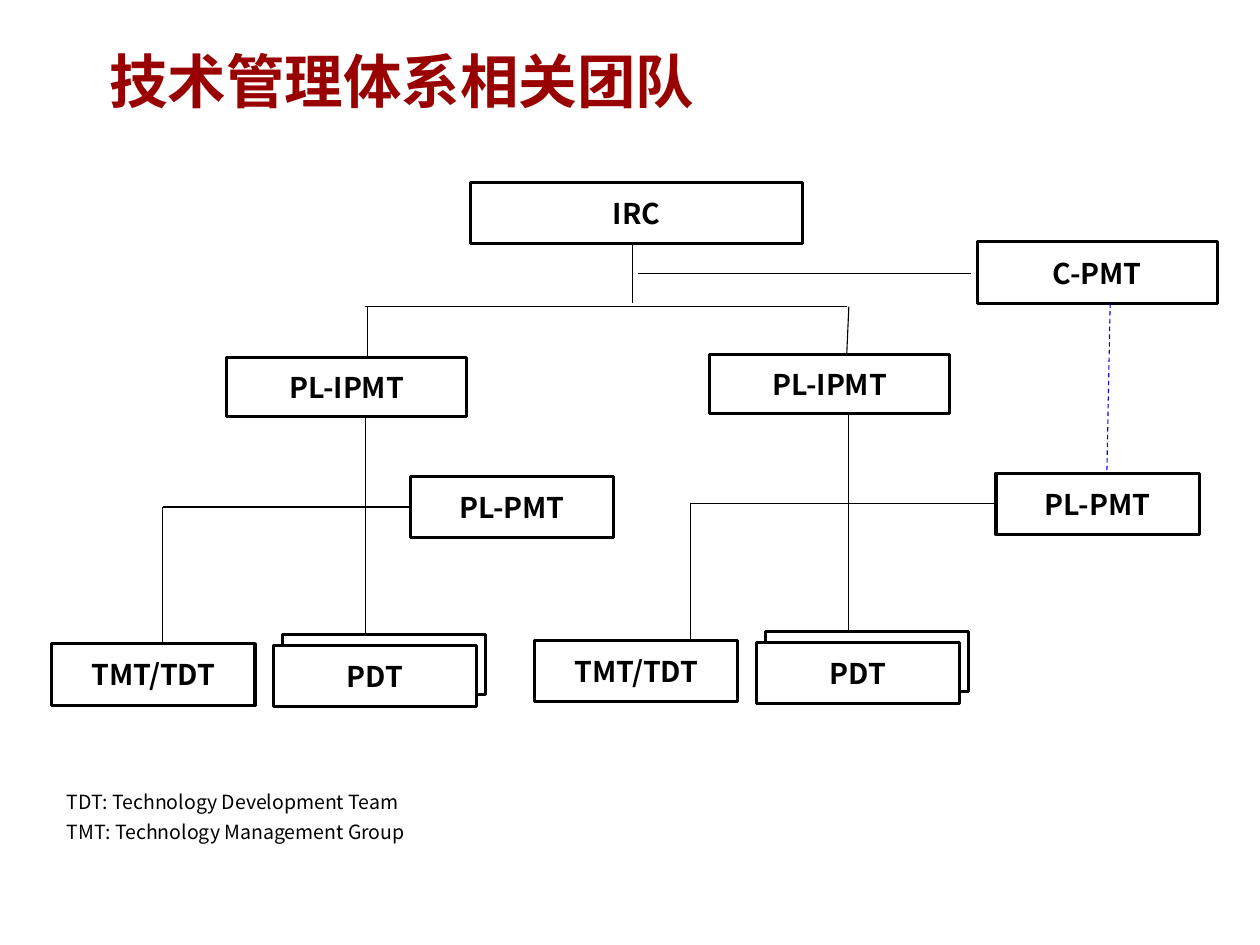
from lxml import etree
from pptx import Presentation
from pptx.dml.color import RGBColor
from pptx.enum.dml import MSO_LINE
from pptx.enum.shapes import MSO_CONNECTOR, MSO_SHAPE
from pptx.enum.text import MSO_ANCHOR, MSO_AUTO_SIZE, PP_ALIGN
from pptx.oxml.ns import qn
from pptx.util import Pt

RECTANGLE = MSO_SHAPE.RECTANGLE
STRAIGHT = MSO_CONNECTOR.STRAIGHT
DASH = MSO_LINE.DASH
LEFT, CENTER = PP_ALIGN.LEFT, PP_ALIGN.CENTER
MIDDLE, BOTTOM = MSO_ANCHOR.MIDDLE, MSO_ANCHOR.BOTTOM
NO_AUTOSIZE = MSO_AUTO_SIZE.NONE

BLACK = RGBColor(0x00, 0x00, 0x00)
WHITE = RGBColor(0xFF, 0xFF, 0xFF)
BLUE = RGBColor(0x00, 0x00, 0xFF)
DARK_RED = RGBColor(0x99, 0x00, 0x00)

TITLE_FONT = "Arial"
BOX_FONT = "Noto Sans CJK KR"
NOTE_FONT = "Noto Sans CJK SC"

BOX_HEIGHT = 41
LOW_HEIGHT = 39.6
TEAM_WIDTH = 135.4
BOARD_WIDTH = 159.8
LEFT_SIDE = 1


def write_text(shape, text, font=BOX_FONT, size=19, bold=True, color=BLACK,
               align=CENTER, anchor=MIDDLE, margins=(3.6, 2.2), space_before=0):
    """Write text into a shape, one paragraph a line, in a single format."""
    frame = shape.text_frame
    frame.text = text
    frame.word_wrap = True
    frame.auto_size = NO_AUTOSIZE
    frame.vertical_anchor = anchor
    frame.margin_left = frame.margin_right = Pt(margins[0])
    frame.margin_top = frame.margin_bottom = Pt(margins[1])
    for paragraph in frame.paragraphs:
        paragraph.alignment = align
        paragraph.space_before = Pt(space_before)
        for run in paragraph.runs:
            run.font.name = font
            run.font.size = Pt(size)
            run.font.bold = bold
            run.font.color.rgb = color


def add_box(slide, left, top, width, height=BOX_HEIGHT, text=""):
    """Add a white box with a black outline and an optional label."""
    box = slide.shapes.add_shape(RECTANGLE, Pt(left), Pt(top), Pt(width), Pt(height))
    box.shadow.inherit = False
    box.fill.solid()
    box.fill.fore_color.rgb = WHITE
    box.line.color.rgb = BLACK
    box.line.width = Pt(2)
    if text:
        write_text(box, text)
    return box


def add_line(slide, start, end, color=BLACK, dash=None):
    """Add a thin straight connector between two points."""
    line = slide.shapes.add_connector(
        STRAIGHT, Pt(start[0]), Pt(start[1]), Pt(end[0]), Pt(end[1]))
    line.line.color.rgb = color
    line.line.width = Pt(0.75)
    if dash is not None:
        line.line.dash_style = dash
    etree.SubElement(line._element.spPr, qn("a:effectLst"))
    return line


def add_title(slide, left, top, width, height):
    """Move the title placeholder into its box and format it."""
    title = slide.shapes.title
    title.left, title.top = Pt(left), Pt(top)
    title.width, title.height = Pt(width), Pt(height)
    write_text(title, "技术管理体系相关团队", font=TITLE_FONT, size=39,
               color=DARK_RED, align=LEFT, margins=(7.2, 3.6))


def add_head(slide, left, top, width):
    """Draw the IRC box, its side team and the bar that spans both branches."""
    add_box(slide, left, top, width, text="IRC")
    stem, bar_top = left + 108, top + 82.8
    add_line(slide, (stem, top + BOX_HEIGHT), (stem, top + 80.6))
    add_line(slide, (stem + 3.6, top + 60.5), (left + 333.4, top + 60.5))
    add_line(slide, (left - 70.6, bar_top), (left + 250.6, bar_top))
    add_line(slide, (left - 69.1, bar_top), (left - 69.1, top + 116.6))
    add_line(slide, (left + 252, bar_top), (left + 250.6, top + 114.5))
    add_box(slide, left + 337.7, top + 39.6, BOARD_WIDTH, text="C-PMT")
    add_line(slide, (left + 426.2, top + 80.6), (left + 424, top + 194.4),
             color=BLUE, dash=DASH)


def add_branch(slide, left, top, pmt_offset, arm_offset):
    """Draw one product line: its board, PMT, TMT/TDT and stacked PDT."""
    arm_left, arm_top = left + arm_offset, top + 79.2 + BOX_HEIGHT / 2
    trunk = left + 92.5
    add_box(slide, left, top, BOARD_WIDTH, LOW_HEIGHT, "PL-IPMT")
    add_line(slide, (trunk, top + LOW_HEIGHT), (trunk, top + 185))
    pmt = add_box(slide, left + pmt_offset, top + 79.2, TEAM_WIDTH, text="PL-PMT")
    arm = add_line(slide, (arm_left, arm_top), (left + pmt_offset, arm_top))
    arm.end_connect(pmt, LEFT_SIDE)
    add_line(slide, (arm_left, arm_top), (arm_left, top + 190.8))
    add_box(slide, left - 116.6, top + 190.8, TEAM_WIDTH, text="TMT/TDT")
    add_box(slide, left + 36.9, top + 185, TEAM_WIDTH, LOW_HEIGHT)
    add_box(slide, left + 31, top + 192, TEAM_WIDTH, text="PDT")


def add_notes(slide, left, top, width, height):
    """Spell out the abbreviations at the foot of the slide."""
    notes = slide.shapes.add_textbox(Pt(left), Pt(top), Pt(width), Pt(height))
    write_text(notes, "TDT: Technology Development Team\nTMT: Technology Management Group",
               font=NOTE_FONT, size=13, bold=False, align=LEFT, anchor=BOTTOM,
               margins=(1.4, 0.7), space_before=4.5)


def main():
    """Build the team chart slide and save it."""
    presentation = Presentation()
    presentation.slide_width, presentation.slide_height = Pt(840), Pt(630)
    slide = presentation.slides.add_slide(presentation.slide_layouts[5])
    add_title(slide, 65.5, 14.4, 489.6, 78.5)
    add_head(slide, 313.9, 121.7, 221)
    add_branch(slide, 151.2, 238.3, pmt_offset=122.4, arm_offset=-42.7)
    add_branch(slide, 473.2, 236.2, pmt_offset=190.8, arm_offset=-13)
    add_notes(slide, 43.2, 511, 763.9, 52)
    presentation.save("out.pptx")


if __name__ == "__main__":
    main()
